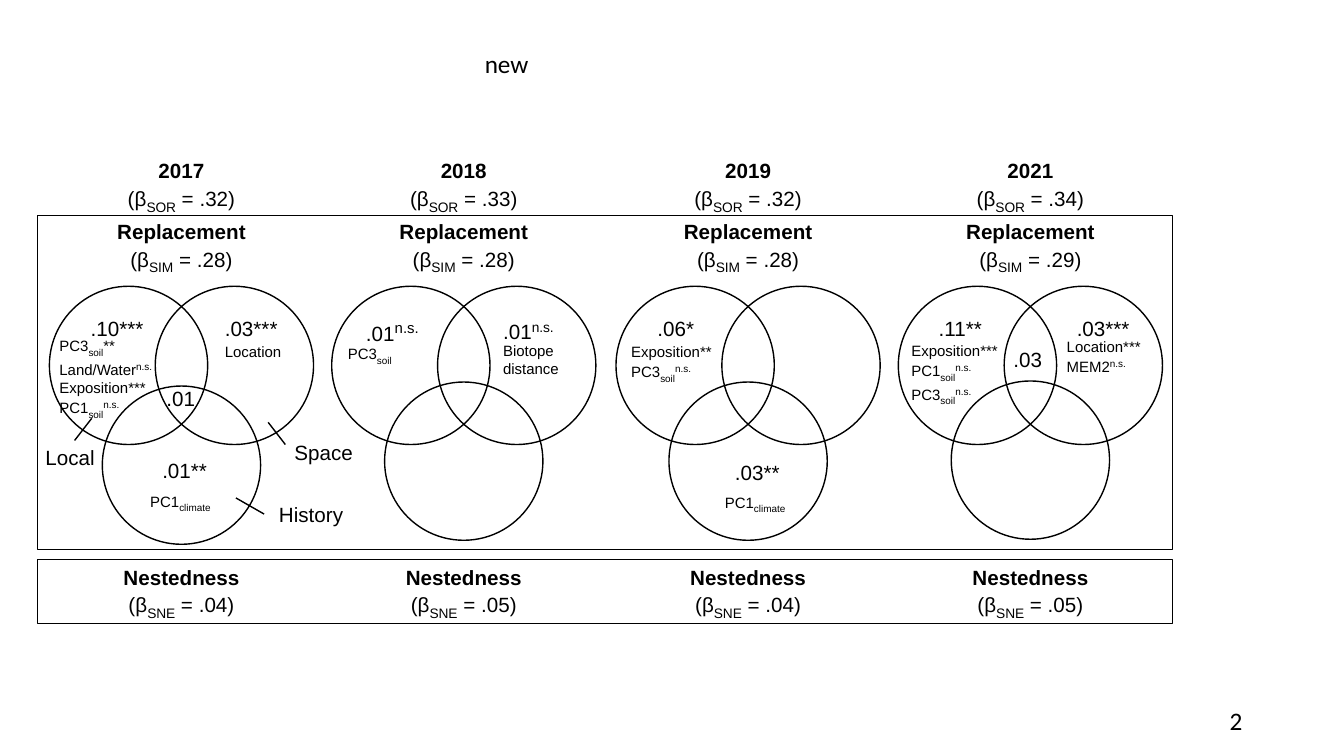
from dataclasses import dataclass

from lxml import etree
from pptx import Presentation
from pptx.dml.color import RGBColor
from pptx.enum.shapes import MSO_CONNECTOR, MSO_SHAPE
from pptx.enum.text import MSO_ANCHOR, PP_ALIGN
from pptx.oxml.ns import qn
from pptx.util import Inches, Pt

OVAL, RECTANGLE = MSO_SHAPE.OVAL, MSO_SHAPE.RECTANGLE
STRAIGHT = MSO_CONNECTOR.STRAIGHT
LEFT, CENTER, RIGHT = PP_ALIGN.LEFT, PP_ALIGN.CENTER, PP_ALIGN.RIGHT
TOP, MIDDLE = MSO_ANCHOR.TOP, MSO_ANCHOR.MIDDLE


@dataclass(frozen=True)
class Theme:
    """Colours, fonts, type sizes and line widths of the slide."""
    ink: RGBColor = RGBColor(0, 0, 0)
    paper: RGBColor = RGBColor(255, 255, 255)
    font: str = "Arial"
    plain_font: str = "Calibri"
    value: float = 14.7
    detail: float = 10.7
    plain: float = 18
    script_ratio: float = 1.15
    large_script: float = 18.5
    line: float = 1
    frame: float = 0.25


THEME = Theme()
WIDE_INSETS = (0.13, 0.07)
NARROW_INSETS = (0.1, 0.05)
BASELINES = {"_": "-25000", "^": "30000"}
CIRCLE_SIZE = 1.57
CIRCLE_TOP = 2.84
CIRCLE_STEP = 1.05
COLUMN_CENTER = (CIRCLE_STEP + CIRCLE_SIZE) / 2

YEARS = [
    dict(year="2017", left=0.49, drop=0.99, total=".32", turnover=".28", nested=".04"),
    dict(year="2018", left=3.29, drop=0.95, total=".33", turnover=".28", nested=".05"),
    dict(year="2019", left=6.11, drop=0.95, total=".32", turnover=".28", nested=".04"),
    dict(year="2021", left=8.91, drop=0.94, total=".34", turnover=".29", nested=".05"),
]

VALUES = [
    (0.77, 3.06, 0.79, ".10***"),
    (2.1, 3.06, 0.8, ".03***"),
    (1.52, 3.76, 0.6, ".01"),
    (1.48, 4.47, 0.86, ".01**"),
    (4.86, 3.06, 0.94, ".01|^n.s."),
    (6.39, 3.06, 0.74, ".06*"),
    (7.16, 4.49, 0.74, ".03**"),
    (9.18, 3.06, 0.92, ".11**"),
    (10.55, 3.06, 0.8, ".03***"),
    (9.92, 3.37, 0.69, ".03"),
]

PREDICTORS = [
    (0.46, 3.25, 1.2, ["PC3|_soil|**", "Land/Water|^n.s.", "Exposition***", "PC1|_soil|^n.s."]),
    (2.1, 3.33, 0.85, ["Location"]),
    (1.36, 4.79, 0.96, ["PC1|_climate"]),
    (3.32, 3.33, 1.15, ["PC3|_soil"]),
    (4.86, 3.32, 0.87, ["Biotope distance"]),
    (6.13, 3.33, 1.11, ["Exposition**", "PC3|_soil|^n.s."]),
    (7.06, 4.8, 0.96, ["PC1|_climate"]),
    (8.91, 3.32, 1.26, ["Exposition***", "PC1|_soil|^n.s.", "PC3|_soil|^n.s."]),
    (10.45, 3.28, 1.18, ["Location***", "MEM2|^n.s."]),
]


def apply_format(target, values):
    """Set each attribute named in values."""
    for name, value in values.items():
        setattr(target, name, value)


def add_run(paragraph, text, size, font, bold, script_size):
    """Add one run; a leading _ lowers it and a leading ^ raises it."""
    baseline = BASELINES.get(text[0])
    run = paragraph.add_run()
    run.text = text[1:] if baseline else text
    points = (script_size or size * THEME.script_ratio) if baseline else size
    apply_format(run.font, dict(name=font, size=Pt(points), bold=bold))
    run.font.color.rgb = THEME.ink
    if baseline:
        run.font._element.set("baseline", baseline)


def write_text(shape, lines, size, font=THEME.font, align=LEFT, anchor=TOP,
               insets=WIDE_INSETS, bold_lines=0, script_size=None, spacing=None):
    """Write lines of |-separated runs into a shape."""
    side, edge = (Inches(inset) for inset in insets)
    frame = shape.text_frame
    apply_format(frame, dict(word_wrap=True, vertical_anchor=anchor, margin_left=side,
                             margin_right=side, margin_top=edge, margin_bottom=edge))
    for index, line in enumerate(lines):
        paragraph = frame.add_paragraph() if index else frame.paragraphs[0]
        apply_format(paragraph, dict(alignment=align, line_spacing=spacing))
        for text in line.split("|"):
            add_run(paragraph, text, size, font, index < bold_lines, script_size)


def add_text(slide, left, top, width, height, lines, size, **options):
    """Add a text box holding the given lines."""
    box = slide.shapes.add_textbox(Inches(left), Inches(top), Inches(width), Inches(height))
    write_text(box, lines, size, **options)


def add_outline(slide, kind, left, top, width, height, weight):
    """Add an unfilled outlined shape."""
    shape = slide.shapes.add_shape(kind, Inches(left), Inches(top), Inches(width), Inches(height))
    shape.shadow.inherit = False
    shape.fill.background()
    shape.line.color.rgb = THEME.ink
    shape.line.width = Pt(weight)


def add_leader(slide, start, end):
    """Add a straight line from a label to its circle."""
    leader = slide.shapes.add_connector(STRAIGHT, *(Inches(value) for value in start + end))
    leader.line.color.rgb = THEME.ink
    leader.line.width = Pt(THEME.line)
    etree.SubElement(leader._element.spPr, qn("a:effectLst"))


def add_heading(slide, center, top, title, index_name, amount):
    """Add a bold title over its beta value."""
    width = 1.57
    add_text(slide, center - width / 2, top, width, 0.66,
             [title, f"(β|_{index_name}| = {amount})"], THEME.value, align=CENTER, bold_lines=1)


def add_year(slide, year, left, drop, total, turnover, nested):
    """Add the three circles and the headings of one year."""
    for across, down in ((0, 0), (CIRCLE_STEP, 0), (CIRCLE_STEP / 2, drop)):
        add_outline(slide, OVAL, left + across, CIRCLE_TOP + down,
                    CIRCLE_SIZE, CIRCLE_SIZE, THEME.line)
    center = left + COLUMN_CENTER
    add_heading(slide, center, 1.5, year, "SOR", total)
    add_heading(slide, center, 2.1, "Replacement", "SIM", turnover)
    add_heading(slide, center, 5.53, "Nestedness", "SNE", nested)


def add_circle_labels(slide):
    """Name the three circles of the first year."""
    middle = dict(align=CENTER, anchor=MIDDLE, insets=NARROW_INSETS)
    add_text(slide, 0.29, 4.25, 0.81, 0.57, ["Local"], THEME.value, **middle)
    add_text(slide, 2.58, 4.84, 1.01, 0.52, ["History"], THEME.value, **middle)
    add_text(slide, 2.79, 4.26, 1.01, 0.41, ["Space"], THEME.value, spacing=1.14)
    add_leader(slide, (0.74, 4.37), (0.91, 4.15))
    add_leader(slide, (2.62, 5.1), (2.34, 4.94))
    add_leader(slide, (2.83, 4.41), (2.66, 4.19))


def add_slide_number(slide):
    """Add the page number on its white field."""
    field = slide.shapes.add_shape(RECTANGLE, Inches(9.42), Inches(6.95), Inches(3), Inches(0.4))
    field.shadow.inherit = False
    field.fill.solid()
    field.fill.fore_color.rgb = THEME.paper
    field.line.fill.background()
    write_text(field, ["2"], THEME.plain, font=THEME.plain_font, align=RIGHT,
               anchor=MIDDLE, insets=NARROW_INSETS)


def main():
    """Build the slide and save it."""
    presentation = Presentation()
    apply_format(presentation, dict(slide_width=Inches(13.33), slide_height=Inches(7.5)))
    slide = presentation.slides.add_slide(presentation.slide_layouts[6])
    add_slide_number(slide)
    for top, height in ((2.13, 3.32), (5.55, 0.63)):
        add_outline(slide, RECTANGLE, 0.37, top, 11.26, height, THEME.frame)
    for year in YEARS:
        add_year(slide, **year)
    for left, top, width, value in VALUES:
        add_text(slide, left, top, width, 0.38, [value], THEME.value)
    add_text(slide, 3.5, 3.06, 0.79, 0.4, [".01|^n.s."], THEME.value,
             script_size=THEME.large_script)
    for left, top, width, lines in PREDICTORS:
        add_text(slide, left, top, width, 0.14 + 0.19 * len(lines), lines, THEME.detail)
    add_circle_labels(slide)
    add_text(slide, 4.71, 0.43, 0.9, 0.4, ["new"], THEME.plain,
             font=THEME.plain_font, insets=NARROW_INSETS)
    presentation.save("out.pptx")


if __name__ == "__main__":
    main()
